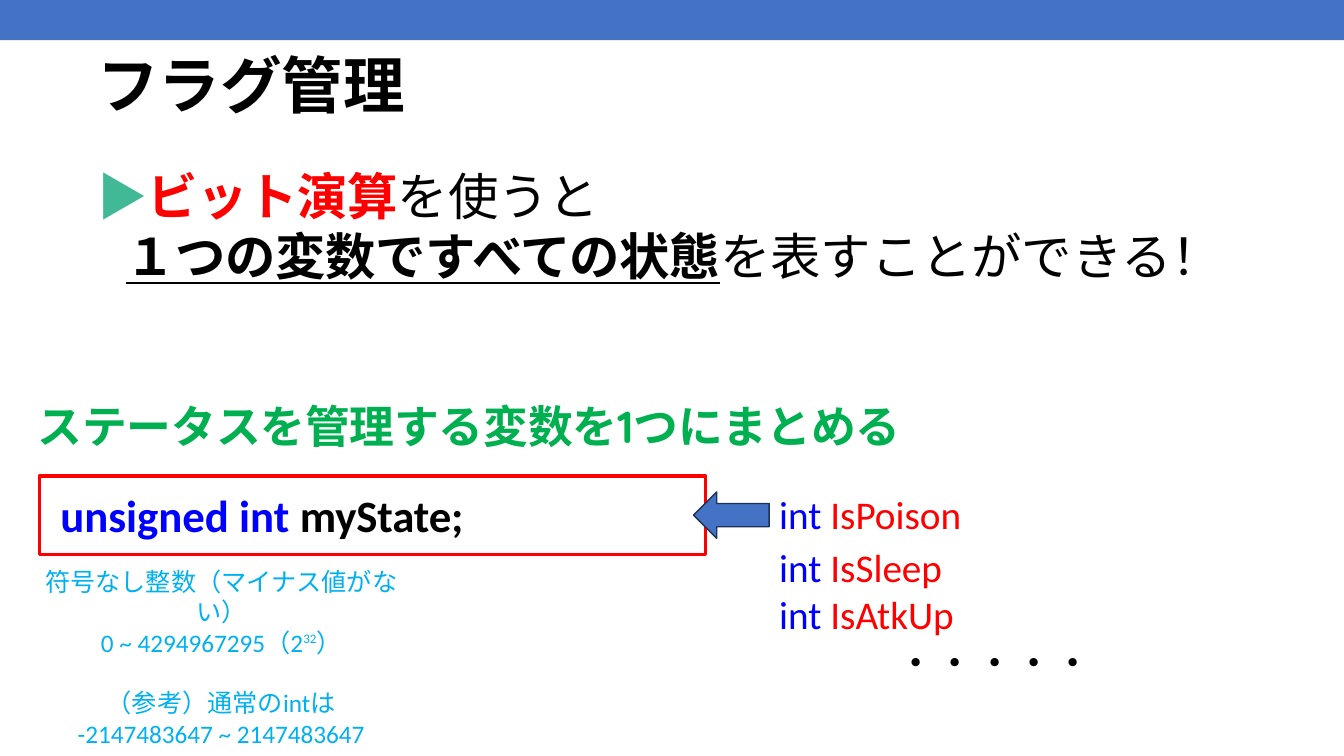
import pptx
import pptx.dml.color
import pptx.enum.shapes
import pptx.enum.text
import pptx.oxml
import pptx.oxml.ns
import pptx.util

Pt = pptx.util.Pt
ALIGN = pptx.enum.text.PP_ALIGN
SHAPE = pptx.enum.shapes.MSO_SHAPE
JAPANESE, LATIN, NUMERAL = "Noto Sans CJK JP", "Calibri", "Quicksand"
COLORS = {
    "bar": "4472C4", "arrow_edge": "1E3256", "text": "000000",
    "alert": "FF0000", "keyword": "0000FF", "marker": "42B996",
    "heading": "00B050", "note": "00B0F0",
}


class FlagSlide:
    """Holds the style and the current slide, and adds each kind of element."""

    def __init__(self, deck):
        self.slide = deck.slides.add_slide(deck.slide_layouts[1])

    def color(self, name):
        return pptx.dml.color.RGBColor.from_string(COLORS[name])

    def style(self, font, size=None, face=None, color=None, bold=None,
              underline=None, spacing=None, baseline=None):
        if size:
            font.size = Pt(size)
        if color:
            font.color.rgb = self.color(color)
        if bold is not None:
            font.bold = bold
        if underline:
            font.underline = True
        if face:
            font.name = face
            east_asian = pptx.oxml.parse_xml(
                f'<a:ea {pptx.oxml.ns.nsdecls("a")} typeface="{JAPANESE}"/>')
            font._element.append(east_asian)
        if spacing:
            font._element.set("spc", str(round(spacing * 100)))
        if baseline:
            font._element.set("baseline", str(baseline * 1000))

    def frame(self, shape, insets):
        frame = shape.text_frame
        frame.word_wrap = True
        frame.auto_size = pptx.enum.text.MSO_AUTO_SIZE.NONE
        frame.vertical_anchor = pptx.enum.text.MSO_ANCHOR.TOP
        (frame.margin_left, frame.margin_top,
         frame.margin_right, frame.margin_bottom) = map(Pt, insets)
        return frame

    def paragraph(self, frame, runs, indent=0, before=0, align=ALIGN.LEFT, **look):
        first = frame.paragraphs[0]
        paragraph = frame.add_paragraph() if first.runs else first
        paragraph.alignment = align
        paragraph.space_before = Pt(before)
        properties = paragraph._p.get_or_add_pPr()
        properties.set("marL", str(Pt(indent)))
        properties.set("indent", "0")
        properties.append(pptx.oxml.parse_xml(
            f'<a:buNone {pptx.oxml.ns.nsdecls("a")}/>'))
        self.style(paragraph.font, **look)
        for text, run_look in runs:
            run = paragraph.add_run()
            run.text = text
            self.style(run.font, **run_look)

    def placeholder(self, index, box, insets):
        shape = self.slide.placeholders[index]
        shape.left, shape.top, shape.width, shape.height = map(Pt, box)
        return self.frame(shape, insets)

    def textbox(self, box, insets):
        return self.frame(self.slide.shapes.add_textbox(*map(Pt, box)), insets)

    def shape(self, kind, box, fill=None, line=None, weight=1):
        shape = self.slide.shapes.add_shape(kind, *map(Pt, box))
        shape.shadow.inherit = False
        if fill:
            shape.fill.solid()
            shape.fill.fore_color.rgb = self.color(fill)
        else:
            shape.fill.background()
        if line:
            shape.line.color.rgb = self.color(line)
            shape.line.width = Pt(weight)
        else:
            shape.line.fill.background()
        return shape


def main():
    deck = pptx.Presentation()
    deck.slide_width, deck.slide_height = Pt(960), Pt(540)
    page = FlagSlide(deck)
    page.shape(SHAPE.RECTANGLE, (0, 0, 960, 28.8), fill="bar")

    title = page.placeholder(0, (68.4, 32.4, 828, 54), (0, 1, 0, 0))
    title.vertical_anchor = pptx.enum.text.MSO_ANCHOR.MIDDLE
    page.paragraph(title, [("フラグ管理", {})], indent=1, before=1, size=44,
                   face=JAPANESE, color="text", bold=True, spacing=-0.1)

    claim = page.placeholder(1, (68.4, 116.6, 816, 88.6), (0, 1, 0, 0))
    page.paragraph(claim, [
        ("▶", dict(color="marker", bold=True, spacing=-0.1)),
        ("ビット演算", dict(color="alert", bold=True, spacing=-0.3)),
        ("を使うと", dict(color="text", spacing=-0.1)),
    ], indent=1, before=1, size=36, face=JAPANESE)
    page.paragraph(claim, [
        ("１つの変数ですべての状態", dict(bold=True, underline=True, spacing=-0.3)),
        ("を表すことができる！", dict(spacing=-0.1)),
    ], indent=21.6, size=36, face=JAPANESE, color="text")

    heading = page.textbox((25.9, 283.7, 804, 39.6), (0, 1, 0, 0))
    page.paragraph(heading, [
        ("ステータスを管理する変数を", dict(face=JAPANESE, spacing=-0.2)),
        ("1", dict(face=NUMERAL, spacing=-0.2)),
        ("つにまとめる", dict(face=JAPANESE, spacing=-0.3)),
    ], indent=1, before=1, size=32, color="heading", bold=True)

    declaration = page.shape(SHAPE.RECTANGLE, (28, 340, 476, 56),
                             line="alert", weight=2.25)
    page.paragraph(page.frame(declaration, (8.6, 8.6, 5.8, 8.6)), [
        ("unsigned int ", dict(color="keyword")),
        ("myState;", dict(color="text", spacing=-0.1)),
    ], indent=6.5, before=0.9, size=32, face=LATIN, bold=True)

    page.shape(SHAPE.LEFT_ARROW, (495.4, 351.4, 54, 33.1),
               fill="bar", line="arrow_edge")

    flags = page.textbox((549.4, 345.6, 380, 145.4), (0, 4.3, 0, 0))
    for flag, before in (("IsPoison", 4.7), ("IsSleep", 4.7), ("IsAtkUp", 0.1)):
        page.paragraph(flags, [("int ", dict(color="keyword")),
                               (flag, dict(color="alert"))],
                       indent=7.2, before=before, size=28, face=LATIN)
    page.paragraph(flags, [("・・・・・", {})], indent=91.2, before=0.1,
                   size=28, face=LATIN, color="text")

    note = page.textbox((15.8, 401, 284.4, 116.6), (7.2, 3.6, 7.2, 3.6))
    note_look = dict(align=ALIGN.CENTER, face=LATIN, color="note", size=18)
    page.paragraph(note, [("符号なし整数（マイナス値がない）", {})], **note_look)
    page.paragraph(note, [("0 ~ 4294967295（2", dict(size=18)),
                          ("32", dict(size=16, baseline=40)),
                          ("）", dict(size=18))], **note_look)
    page.paragraph(note, [("（参考）通常のintは", {})], before=21.8, **note_look)
    page.paragraph(note, [("-2147483647 ~ 2147483647", {})], **note_look)

    deck.save("out.pptx")


if __name__ == "__main__":
    main()
